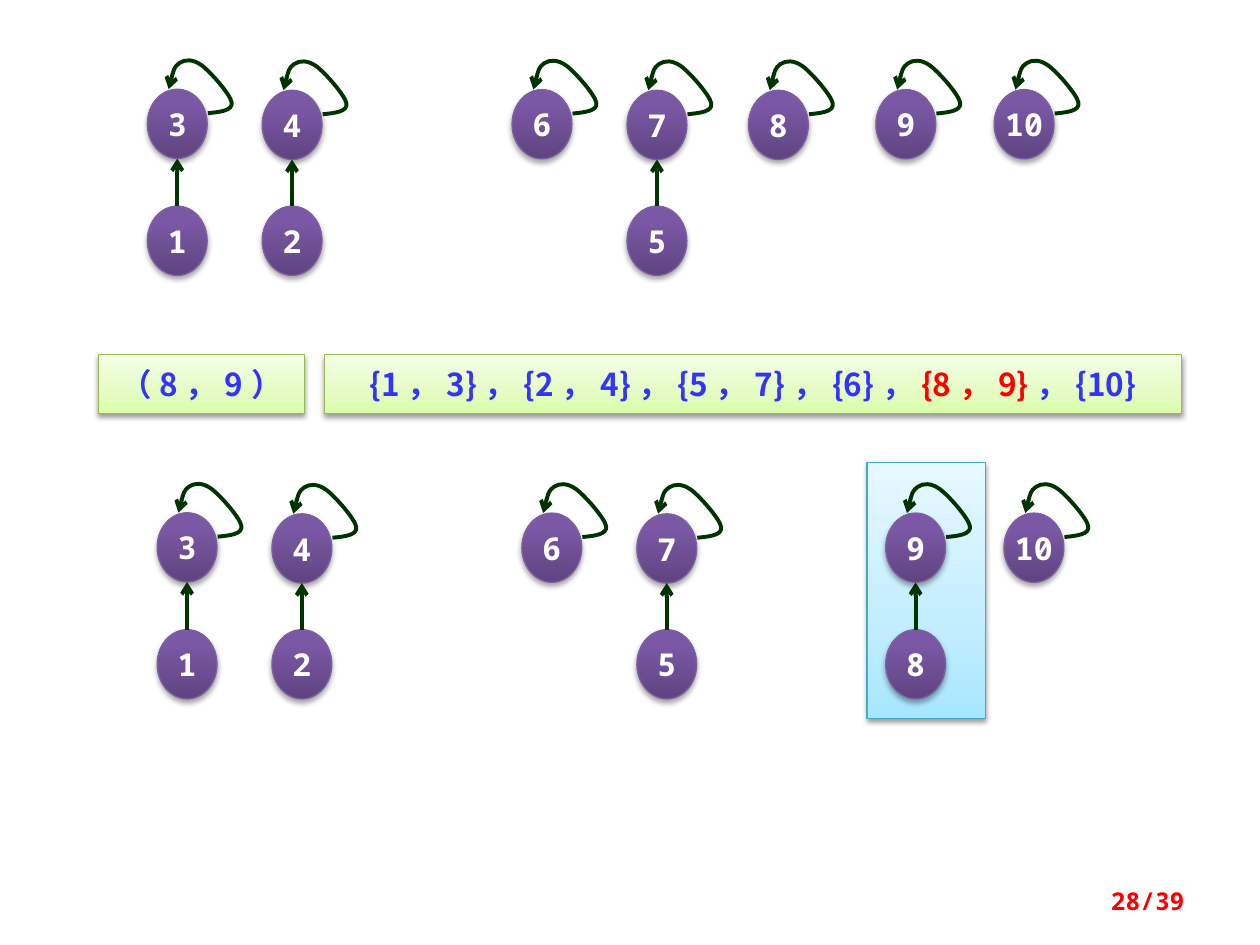
from copy import deepcopy
from pptx import Presentation as Deck
from pptx.dml.color import RGBColor as Rgb
from pptx.enum.shapes import MSO_CONNECTOR as Wire, MSO_SHAPE as Form
from pptx.enum.text import MSO_ANCHOR as Anchor, PP_ALIGN as Align
from pptx.oxml.ns import qn
from pptx.oxml.xmlchemy import OxmlElement as Node
from pptx.util import Pt

HUES = {
    "sky": "46AAC5", "lime": "98B955", "plum": "7D60A0",
    "ink": "003300", "blue": "3333FF", "red": "FF0000",
    "white": "FFFFFF", "black": "000000",
}
FADES = {
    "sky": [(0, "A7E6FF"), (0.35, "C1EDFF"), (1, "E7F8FF")],
    "lime": [(0, "DAFDA7"), (0.35, "E4FCC2"), (1, "F5FFE7")],
    "plum": [(0, "5F4480"), (0.8, "7B58A6"), (1, "7C57A8")],
}
MONO = "Noto Sans Mono"
HAN = "Noto Sans CJK SC"
WIDE, HIGH, DROP = 34.2, 39.6, 66.8
LOOP = [
    (34.6, 13.7), (41.8, 13), (49, 12.2), (48.2, 7.5),
    (47.5, 3), (36, -10), (31, -13.7), (25.9, -17.3),
    (21.6, -17.1), (18.4, -15), (15.2, -12.8), (13.7, -6.5), (12.2, 0),
]
ROOTS = {
    "3": (84.2, 0), "4": (149.8, 0.6), "6": (292.6, 0.2), "7": (358.3, 0.6),
    "8": (427.7, 0.6), "9": (500.5, 0.2), "10": (568.1, 0.2),
}
PAIRS = {"1": "3", "2": "4", "5": "7"}


def tint(hue):
    return Rgb.from_string(HUES[hue])


def add(host, tag, **atts):
    item = Node(tag)
    for key, val in atts.items():
        item.set(key, str(val))
    host.append(item)
    return item


def write(shape, *runs, size=18, face=MONO, side=7.2, align=Align.CENTER):
    frame = shape.text_frame
    frame.word_wrap = True
    frame.vertical_anchor = Anchor.MIDDLE
    frame.margin_left = frame.margin_right = Pt(side)
    frame.margin_top = frame.margin_bottom = Pt(3.6)
    para = frame.paragraphs[0]
    para.alignment = align
    for text, hue in runs:
        run = para.add_run()
        run.text = text
        font = run.font
        font.size, font.bold, font.name = Pt(size), True, face
        font.color.rgb = tint(hue)
        add(font._element, "a:ea", typeface=face)


def shade(shape, hue, alpha, dist):
    fill = shape.fill
    fill.gradient()
    fill.gradient_angle = 90
    stops = shape._element.spPr.find(".//" + qn("a:gsLst"))
    stops.append(deepcopy(stops[-1]))
    for stop, (place, code) in zip(fill.gradient_stops, FADES[hue]):
        stop.position = place
        stop.color.rgb = Rgb.from_string(code)
    shape.line.color.rgb = tint(hue)
    shape.line.width = Pt(0.75)
    shape.shadow.inherit = False
    glow = add(shape._element.spPr.find(qn("a:effectLst")), "a:outerShdw",
               blurRad=Pt(3.1), dist=Pt(dist), dir=5400000, rotWithShape=0)
    code = add(glow, "a:srgbClr", val=HUES["black"])
    add(code, "a:alpha", val=alpha * 1000)


def block(slide, form, x, y, w, h, hue, alpha=38, dist=1.6):
    shape = slide.shapes.add_shape(form, Pt(x), Pt(y), Pt(w), Pt(h))
    shade(shape, hue, alpha, dist)
    return shape


def ball(slide, label, x, y):
    shape = block(slide, Form.OVAL, x, y, WIDE, HIGH, "plum", 35, 1.8)
    write(shape, (label, "white"), side=0)


def point(shape):
    line = shape.line
    line.color.rgb = tint("ink")
    line.width = Pt(2.25)
    add(line._get_or_add_ln(), "a:tailEnd", type="arrow")


def arrow(slide, x, top, foot):
    wire = slide.shapes.add_connector(Wire.STRAIGHT, Pt(x), Pt(foot), Pt(x), Pt(top))
    point(wire)
    add(wire._element.spPr, "a:effectLst")


def loop(slide, x, y):
    first, *rest = [(Pt(x + a), Pt(y + b)) for a, b in LOOP]
    pen = slide.shapes.build_freeform(*first)
    pen.add_line_segments(rest, close=False)
    shape = pen.convert_to_shape()
    shape.fill.background()
    shape.shadow.inherit = False
    point(shape)
    trail = shape._element.spPr.find(".//" + qn("a:path"))
    lines = trail.findall(qn("a:lnTo"))
    for i in range(0, len(lines), 3):
        curve = add(trail, "a:cubicBezTo")
        for line in lines[i:i + 3]:
            curve.append(line[0])
            trail.remove(line)


def forest(slide, left, top, pairs):
    for label, (x, dip) in ROOTS.items():
        if label not in pairs:
            ball(slide, label, left + x, top + dip)
            loop(slide, left + x, top + dip)
    for leaf, root in pairs.items():
        x, dip = ROOTS[root]
        ball(slide, leaf, left + x, top + DROP)
        arrow(slide, left + x + WIDE / 2, top + dip + HIGH, top + DROP)


def main():
    deck = Deck()
    deck.slide_width, deck.slide_height = Pt(720), Pt(540)
    slide = deck.slides.add_slide(deck.slide_layouts[6])
    block(slide, Form.RECTANGLE, 495.5, 264.3, 67.6, 146.2, "sky")
    pair = block(slide, Form.RECTANGLE, 56.2, 202.5, 118, 33.8, "lime")
    write(pair, ("（8，9）", "blue"), face=HAN)
    sets = block(slide, Form.RECTANGLE, 185.4, 202.5, 489.6, 33.8, "lime")
    write(sets, ("{1，3}，{2，4}，{5，7}，{6}，", "blue"), ("{8，9}", "red"),
          ("，{10}", "blue"), face=HAN)
    forest(slide, 0, 51, PAIRS)
    forest(slide, 5.6, 293, PAIRS | {"8": "9"})
    page = slide.shapes.add_textbox(Pt(516), Pt(500.4), Pt(168), Pt(28.8))
    write(page, ("28/39", "red"), size=14, align=Align.RIGHT)
    deck.save("out.pptx")


if __name__ == "__main__":
    main()
